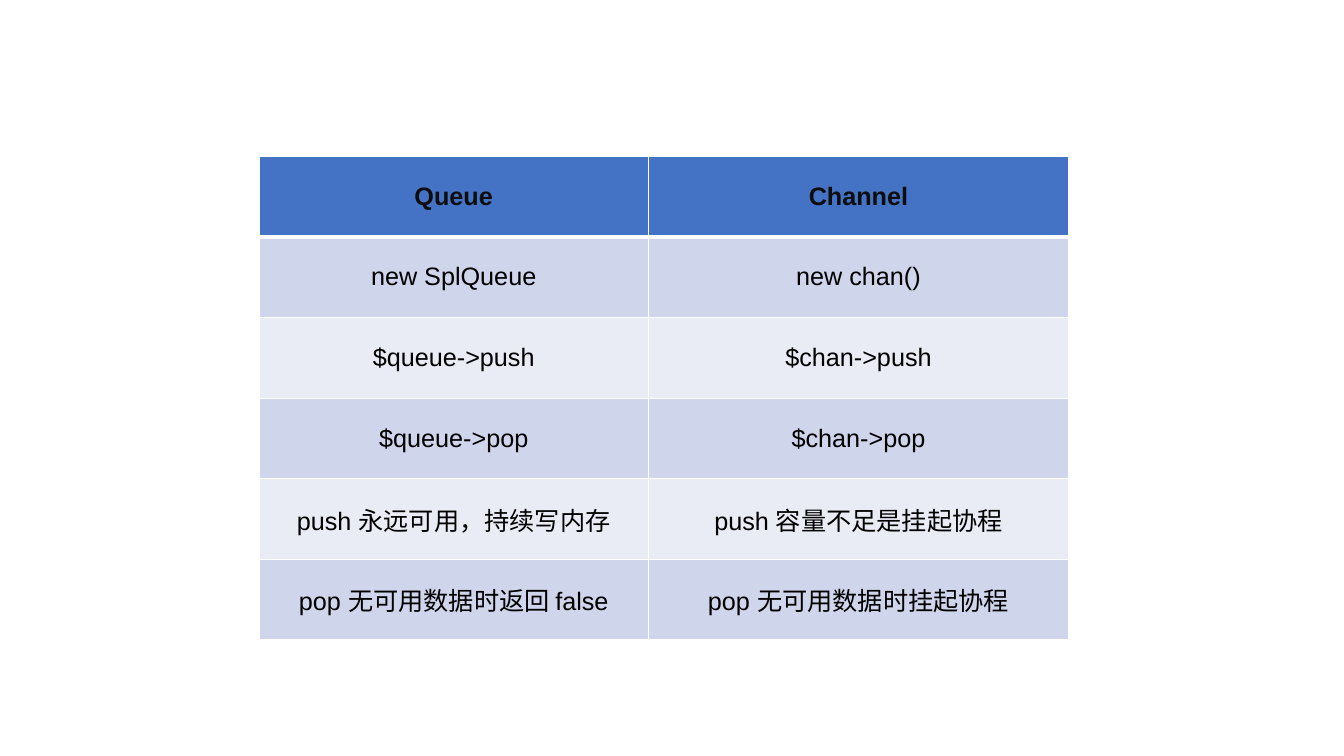
from lxml.etree import SubElement
from pptx import Presentation
from pptx.dml.color import RGBColor as RGB
from pptx.enum.text import MSO_ANCHOR as ANCHOR, PP_ALIGN as ALIGN
from pptx.oxml.ns import qn
from pptx.util import Inches, Pt

COLORS = {
    "header": "4472C4",
    "header_text": "0D0D0D",
    "odd_row": "CFD5EA",
    "even_row": "E9EBF5",
    "text": "000000",
    "border": "FFFFFF",
}
FONT = {"name": "Arial", "size": Pt(18)}

COL_WIDTHS = (3.86, 4.17)
ROW_HEIGHT = 0.8
ROWS = [
    ("Queue", "Channel"),
    ("new SplQueue", "new chan()"),
    ("$queue->push", "$chan->push"),
    ("$queue->pop", "$chan->pop"),
    ("push 永远可用，持续写内存", "push 容量不足是挂起协程"),
    ("pop 无可用数据时返回 false", "pop 无可用数据时挂起协程"),
]


class SlideBuilder:
    def __init__(self, prs, colors, font):
        self.slide = prs.slides.add_slide(prs.slide_layouts[6])
        self.colors = colors
        self.font = font

    def rgb(self, name):
        return RGB.from_string(self.colors[name])

    def table(self, left, top, col_widths, row_height, rows):
        """Add a table with a header row and alternating body rows."""
        frame = self.slide.shapes.add_table(
            len(rows), len(col_widths), Inches(left), Inches(top),
            Inches(sum(col_widths)), Inches(row_height * len(rows)))
        tbl = frame.table
        for col, width in zip(tbl.columns, col_widths):
            col.width = Inches(width)
        for i, texts in enumerate(rows):
            tbl.rows[i].height = Inches(row_height)
            for j, text in enumerate(texts):
                self.cell(tbl.cell(i, j), i, text)

    def cell(self, cell, row, text):
        is_header = row == 0
        fill = "header" if is_header else "odd_row" if row % 2 else "even_row"
        # The header and the first body row share the thick line.
        self.borders(cell, {"L": 1, "R": 1, "T": 3 if row == 1 else 1,
                            "B": 3 if is_header else 1})
        cell.fill.solid()
        cell.fill.fore_color.rgb = self.rgb(fill)
        cell.vertical_anchor = ANCHOR.MIDDLE
        p = cell.text_frame.paragraphs[0]
        p.alignment = ALIGN.CENTER
        r = p.add_run()
        r.text = text
        for key, value in {**self.font, "bold": is_header}.items():
            setattr(r.font, key, value)
        r.font.color.rgb = self.rgb("header_text" if is_header else "text")

    def borders(self, cell, widths):
        """Draw cell borders; call before filling, as lines precede the fill."""
        props = cell._tc.get_or_add_tcPr()
        for side, width in widths.items():
            line = SubElement(props, qn(f"a:ln{side}"), w=str(Pt(width)))
            fill = SubElement(line, qn("a:solidFill"))
            SubElement(fill, qn("a:srgbClr"), val=self.colors["border"])


def main():
    prs = Presentation()
    prs.slide_width, prs.slide_height = Inches(13.33), Inches(7.5)
    s = SlideBuilder(prs, COLORS, FONT)
    s.table(2.57, 1.55, COL_WIDTHS, ROW_HEIGHT, ROWS)
    prs.save("out.pptx")


if __name__ == "__main__":
    main()
